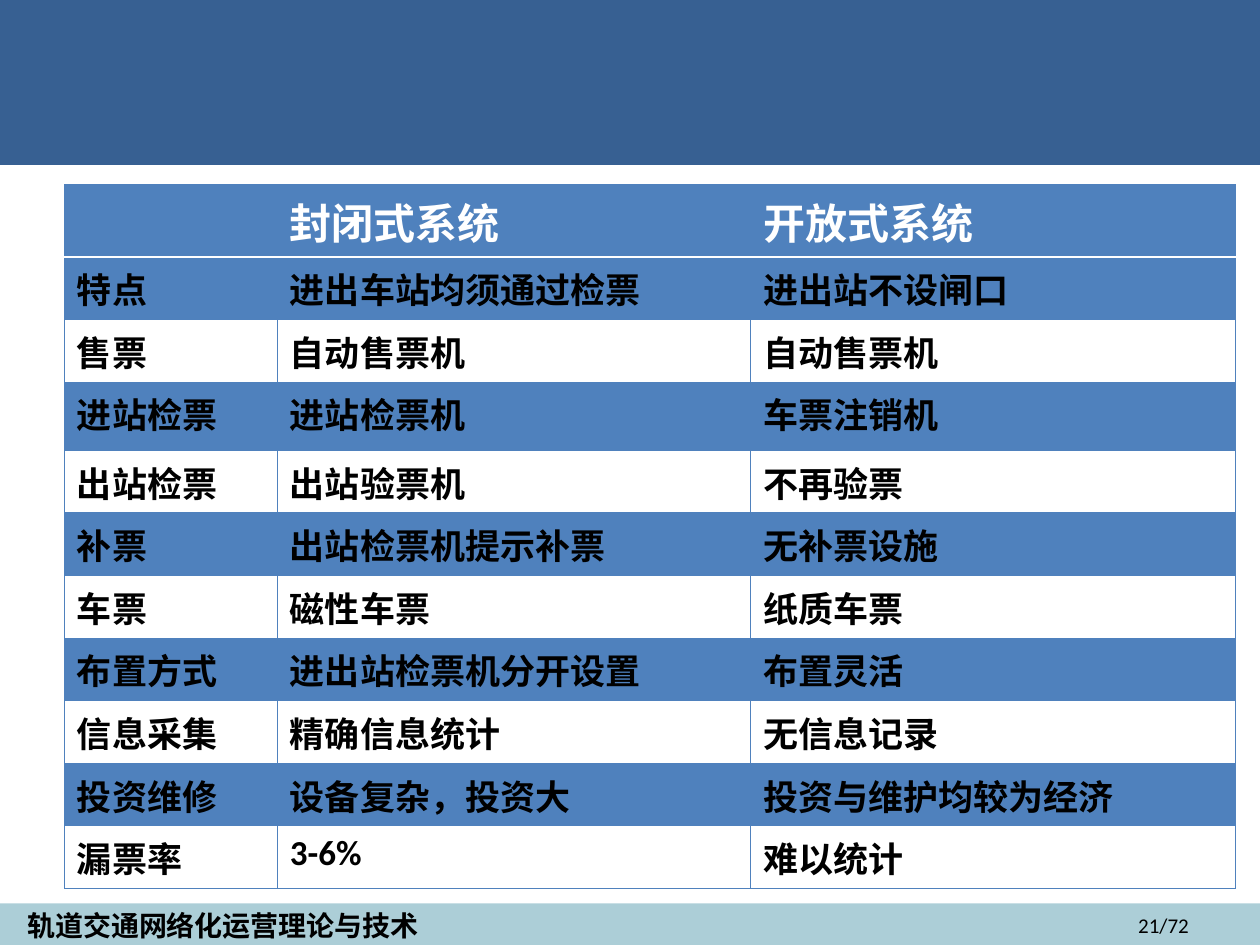
import pptx
import pptx.dml.color
import pptx.enum.shapes
import pptx.enum.text
import pptx.oxml
import pptx.oxml.ns
import pptx.util

Pt = pptx.util.Pt
COLORS = {
    "banner": "376092",
    "footer": "31859C",
    "table": "4F81BD",
    "white": "FFFFFF",
    "black": "000000",
}
COMPARISON = [
    ("", "封闭式系统", "开放式系统"),
    ("特点", "进出车站均须通过检票", "进出站不设闸口"),
    ("售票", "自动售票机", "自动售票机"),
    ("进站检票", "进站检票机", "车票注销机"),
    ("出站检票", "出站验票机", "不再验票"),
    ("补票", "出站检票机提示补票", "无补票设施"),
    ("车票", "磁性车票", "纸质车票"),
    ("布置方式", "进出站检票机分开设置", "布置灵活"),
    ("信息采集", "精确信息统计", "无信息记录"),
    ("投资维修", "设备复杂，投资大", "投资与维护均较为经济"),
    ("漏票率", "3-6%", "难以统计"),
]
COLUMN_WIDTHS = (121.7, 270.5, 277)
ROW_HEIGHTS = [41.2] + [35.8] * 2 + [39] + [35.8] * 7


def rgb(name):
    """Return the named palette colour."""
    return pptx.dml.color.RGBColor.from_string(COLORS[name])


def paint(fill, name, opacity=100):
    """Fill with a palette colour at the given opacity in percent."""
    fill.solid()
    fill.fore_color.rgb = rgb(name)
    if opacity < 100:
        color = fill._xPr.find(".//" + pptx.oxml.ns.qn("a:srgbClr"))
        color.append(pptx.oxml.parse_xml(
            f'<a:alpha {pptx.oxml.ns.nsdecls("a")} val="{opacity * 1000}"/>'))


def style_font(paragraph, size, color, face="Calibri", bold=False):
    """Set the font of a whole paragraph."""
    paragraph.font.name = face
    paragraph.font.size = Pt(size)
    paragraph.font.bold = bold
    paragraph.font.color.rgb = rgb(color)


def add_band(slide, box, color, opacity=100):
    """Add a plain rectangle without outline."""
    band = slide.shapes.add_shape(
        pptx.enum.shapes.MSO_SHAPE.RECTANGLE, *map(Pt, box))
    band.shadow.inherit = False
    band.line.fill.background()
    paint(band.fill, color, opacity)


def add_label(slide, box, text, size, **font):
    """Add a one-line text box and return it."""
    label = slide.shapes.add_textbox(*map(Pt, box))
    label.text_frame.word_wrap = True
    label.text_frame.text = text
    style_font(label.text_frame.paragraphs[0], size, "black", **font)
    return label


def add_footer(slide, box):
    """Place the footer band, the course name and the page number."""
    left, top, width, height = box
    add_band(slide, box, "footer", 40)
    add_label(slide, (left + 8.6, top - 0.7, 300, 26.6),
              "轨道交通网络化运营理论与技术", 16, face="Arial", bold=True)
    page = add_label(slide, (left + width - 201.6, top - 2.2, 168, 28.8),
                     "21/72", 12)
    page.text_frame.vertical_anchor = pptx.enum.text.MSO_ANCHOR.MIDDLE
    page.text_frame.paragraphs[0].alignment = pptx.enum.text.PP_ALIGN.RIGHT


def set_border(cell, side, color, width):
    """Draw one border of a cell; call in the order L, R, T, B."""
    cell._tc.get_or_add_tcPr().append(pptx.oxml.parse_xml(
        f'<a:ln{side} {pptx.oxml.ns.nsdecls("a")} w="{Pt(width)}">'
        f'<a:solidFill><a:srgbClr val="{COLORS[color]}"/></a:solidFill>'
        f'</a:ln{side}>'))


def format_cell(cell, row, text):
    """Write a cell and give it the look of its row."""
    header_edge = {0: "B", 1: "T"}.get(row)
    for side in "LRTB":
        if side == header_edge:
            set_border(cell, side, "white", 1.47)
        else:
            set_border(cell, side, "table", 0.45)
    if row == 0:
        paint(cell.fill, "table")
    elif row % 2:
        paint(cell.fill, "table", 40)
    else:
        cell.fill.background()
    cell.text = text
    style_font(cell.text_frame.paragraphs[0], 20 if row else 24,
               "black" if row else "white", bold=True)


def add_comparison(slide, left, top):
    """Place the table comparing closed and open ticketing systems."""
    comparison = slide.shapes.add_table(
        len(COMPARISON), len(COLUMN_WIDTHS), Pt(left), Pt(top),
        Pt(sum(COLUMN_WIDTHS)), Pt(sum(ROW_HEIGHTS))).table
    comparison.first_row = comparison.horz_banding = False
    for column, width in zip(comparison.columns, COLUMN_WIDTHS):
        column.width = Pt(width)
    for row, (texts, height) in enumerate(zip(COMPARISON, ROW_HEIGHTS)):
        comparison.rows[row].height = Pt(height)
        for column, text in enumerate(texts):
            format_cell(comparison.cell(row, column), row, text)


def main():
    """Build the slide and save it."""
    deck = pptx.Presentation()
    deck.slide_width, deck.slide_height = Pt(720), Pt(540)
    slide = deck.slides.add_slide(deck.slide_layouts[6])
    add_footer(slide, (0, 516.2, 720, 23.8))
    add_band(slide, (0, 0, 720, 94.3), "banner")
    add_comparison(slide, 36.8, 105.5)
    deck.save("out.pptx")


if __name__ == "__main__":
    main()
